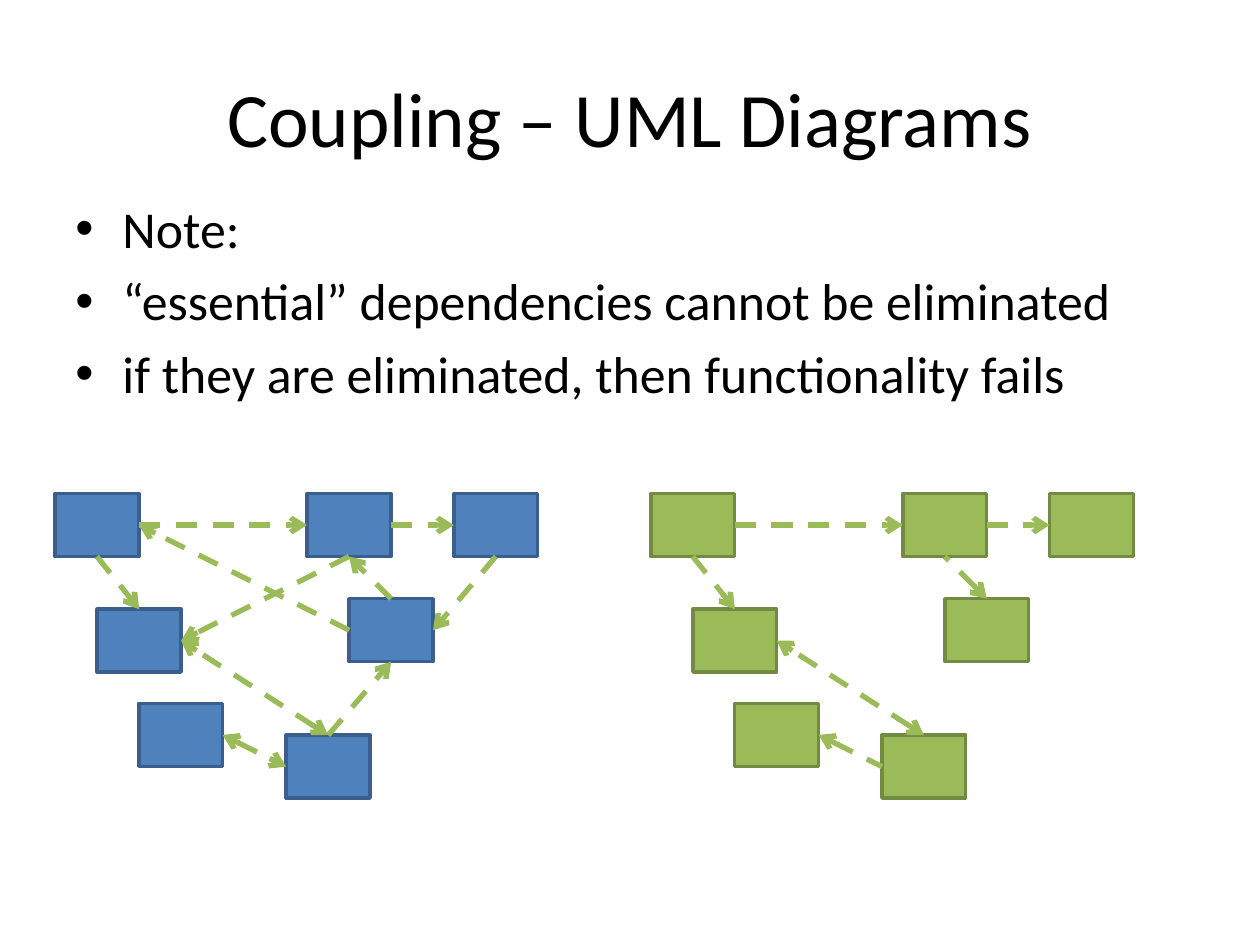
from lxml.etree import SubElement
from pptx import Presentation
from pptx.dml.color import RGBColor
from pptx.enum.dml import MSO_LINE
from pptx.enum.shapes import MSO_CONNECTOR, MSO_SHAPE
from pptx.enum.text import MSO_ANCHOR, PP_ALIGN
from pptx.oxml.ns import qn
from pptx.util import Cm, Pt

BLACK = RGBColor(0x00, 0x00, 0x00)
BLUE = RGBColor(0x4F, 0x81, 0xBD)
DARK_BLUE = RGBColor(0x3A, 0x5F, 0x8C)
GREEN = RGBColor(0x9B, 0xBB, 0x59)
DARK_GREEN = RGBColor(0x73, 0x8A, 0x42)

TOP, LEFT, BOTTOM, RIGHT = range(4)
CLASS_WIDTH, CLASS_HEIGHT = 1.69, 1.27
DIAGRAM_TOP = 9.95
CLASS_OFFSETS = {
    "A": (0, 0), "B": (0.85, 2.33), "C": (4.66, 4.87), "D": (1.69, 4.23),
    "E": (5.08, 0), "F": (5.93, 2.12), "G": (8.04, 0),
}
TO, FROM, BOTH = ("tailEnd",), ("headEnd",), ("headEnd", "tailEnd")
ALL_DEPENDENCIES = [
    ("A", RIGHT, "E", LEFT, TO),
    ("A", BOTTOM, "B", TOP, TO),
    ("E", BOTTOM, "B", RIGHT, TO),
    ("D", RIGHT, "C", LEFT, BOTH),
    ("C", TOP, "F", BOTTOM, TO),
    ("C", TOP, "B", RIGHT, BOTH),
    ("E", RIGHT, "G", LEFT, TO),
    ("G", BOTTOM, "F", RIGHT, TO),
    ("F", TOP, "E", BOTTOM, TO),
    ("F", LEFT, "A", RIGHT, TO),
]
ESSENTIAL_DEPENDENCIES = [
    ("A", RIGHT, "E", LEFT, TO),
    ("A", BOTTOM, "B", TOP, TO),
    ("D", RIGHT, "C", LEFT, FROM),
    ("C", TOP, "B", RIGHT, BOTH),
    ("E", RIGHT, "G", LEFT, TO),
    ("F", TOP, "E", BOTTOM, FROM),
]


class SlideBuilder:
    """Hold the style and the current slide, and draw each kind of element."""

    font_name = "Calibri"
    text_color = BLACK
    arrow_color = GREEN

    def __init__(self, slide):
        self.slide = slide

    def text(self, text, left, top, width, height, *, size, align=PP_ALIGN.LEFT,
             anchor=MSO_ANCHOR.TOP, bullet=None, gap=0):
        box = self.slide.shapes.add_textbox(Cm(left), Cm(top), Cm(width), Cm(height))
        frame = box.text_frame
        frame.word_wrap = True
        frame.vertical_anchor = anchor
        frame.text = text
        for index, paragraph in enumerate(frame.paragraphs):
            paragraph.alignment = align
            paragraph.space_before = Pt(gap if index else 0)
            if bullet:
                properties = paragraph._p.get_or_add_pPr()
                properties.set("marL", str(Cm(0.95)))
                properties.set("indent", str(-Cm(0.95)))
                SubElement(properties, qn("a:buFont"), typeface="Arial")
                SubElement(properties, qn("a:buChar"), char=bullet)
            paragraph.font.name = self.font_name
            paragraph.font.size = Pt(size)
            paragraph.font.color.rgb = self.text_color

    def class_box(self, group, left, top, fill, outline):
        box = group.shapes.add_shape(MSO_SHAPE.RECTANGLE, Cm(left), Cm(top),
                                     Cm(CLASS_WIDTH), Cm(CLASS_HEIGHT))
        box.shadow.inherit = False
        box.fill.solid()
        box.fill.fore_color.rgb = fill
        box.line.color.rgb = outline
        box.line.width = Pt(2)
        return box

    def dependency(self, group, source, source_side, target, target_side, ends):
        arrow = group.shapes.add_connector(MSO_CONNECTOR.STRAIGHT, source.left, source.top,
                                           target.left, target.top)
        arrow.begin_connect(source, source_side)
        arrow.end_connect(target, target_side)
        arrow.line.color.rgb = self.arrow_color
        arrow.line.width = Pt(3)
        arrow.line.dash_style = MSO_LINE.DASH
        properties = arrow._element.spPr
        for end in ends:
            SubElement(properties.find(qn("a:ln")), qn(f"a:{end}"), type="arrow")
        SubElement(properties, qn("a:effectLst"))

    def diagram(self, left, fill, outline, dependencies):
        group = self.slide.shapes.add_group_shape()
        classes = {
            name: self.class_box(group, left + x, DIAGRAM_TOP + y, fill, outline)
            for name, (x, y) in CLASS_OFFSETS.items()
        }
        for source, source_side, target, target_side, ends in dependencies:
            self.dependency(group, classes[source], source_side,
                            classes[target], target_side, ends)


def main():
    presentation = Presentation()
    presentation.slide_width, presentation.slide_height = Cm(25.4), Cm(19.05)
    builder = SlideBuilder(presentation.slides.add_slide(presentation.slide_layouts[6]))
    notes = [
        "Note:",
        "“essential” dependencies cannot be eliminated",
        "if they are eliminated, then functionality fails",
    ]
    builder.text("\n".join(notes), 1.27, 3.84, 22.86, 12.57, size=29.6, bullet="•", gap=5.9)
    builder.text("Coupling – UML Diagrams", 1.27, 0.76, 22.86, 3.18, size=44,
                 align=PP_ALIGN.CENTER, anchor=MSO_ANCHOR.MIDDLE)
    builder.diagram(1.11, BLUE, DARK_BLUE, ALL_DEPENDENCIES)
    builder.diagram(13.12, GREEN, DARK_GREEN, ESSENTIAL_DEPENDENCIES)
    presentation.save("out.pptx")


if __name__ == "__main__":
    main()
